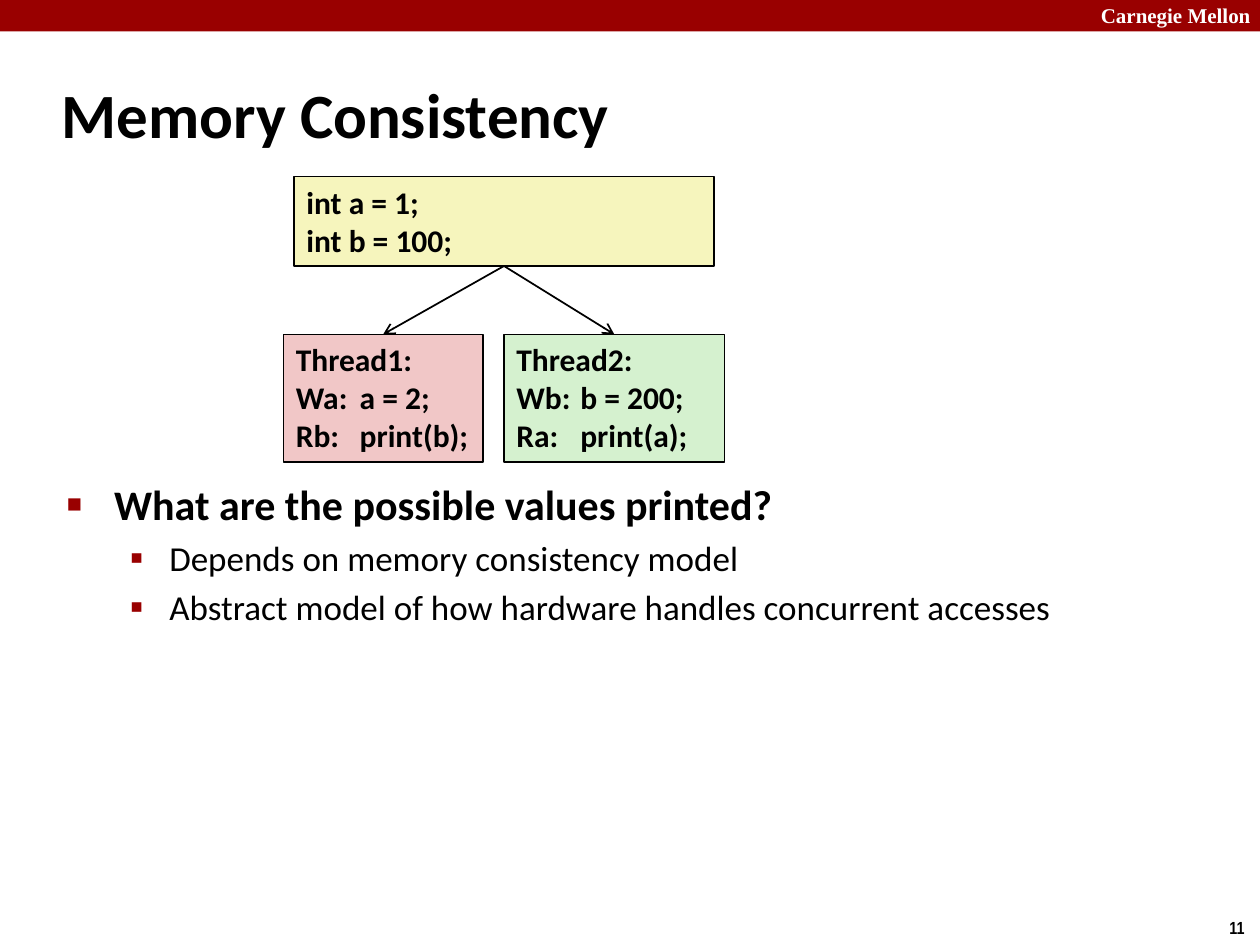
import pptx
import pptx.dml.color
import pptx.enum.shapes
import pptx.enum.text
import pptx.oxml
import pptx.oxml.ns
import pptx.util
from lxml import etree

Pt = pptx.util.Pt
ANCHOR = pptx.enum.text.MSO_ANCHOR
BOTTOM, TOP = 2, 0

COLORS = {
    "black": "000000",
    "white": "FFFFFF",
    "crimson": "990000",
    "shared": "F6F5BD",
    "thread1": "F1C7C7",
    "thread2": "D5F1CF",
}


def rgb(name):
    return pptx.dml.color.RGBColor.from_string(COLORS[name])


def add_xml(parent, tag, **attributes):
    return etree.SubElement(parent, pptx.oxml.ns.qn(tag), attributes)


class ConsistencySlide:
    font_name = "Calibri"
    code_size = 18
    code_tab = 36.5

    def __init__(self, presentation):
        self.slide = presentation.slides.add_slide(presentation.slide_layouts[1])
        self.shapes = self.slide.shapes

    def style(self, paragraph, size, bold=True, color="black", font_name=None):
        font = paragraph.font
        font.name = font_name or self.font_name
        font.size = Pt(size)
        font.bold = bold
        font.color.rgb = rgb(color)

    def place(self, shape, box):
        shape.left, shape.top, shape.width, shape.height = map(Pt, box)

    def rectangle(self, box, fill):
        shape = self.shapes.add_shape(
            pptx.enum.shapes.MSO_SHAPE.RECTANGLE, *map(Pt, box))
        shape.shadow.inherit = False
        shape.fill.solid()
        shape.fill.fore_color.rgb = rgb(fill)
        shape.line.fill.background()
        return shape

    def label(self, box, text, size, color, font_name, wrap=True):
        frame = self.shapes.add_textbox(*map(Pt, box)).text_frame
        frame.word_wrap = wrap
        frame.text = text
        self.style(frame.paragraphs[0], size, True, color, font_name)

    def title(self, box, text):
        title = self.shapes.title
        self.place(title, box)
        title.text_frame.text = text
        title.text_frame.vertical_anchor = ANCHOR.MIDDLE
        heading = title.text_frame.paragraphs[0]
        heading.alignment = pptx.enum.text.PP_ALIGN.LEFT
        self.style(heading, 36)

    def bullets(self, box, items):
        """Fill the body with (level, text) items."""
        levels = [
            dict(margin=27, hanging=27, char="■", percent=60, size=24, bold=True),
            dict(margin=58.5, hanging=22.5, char="▪", percent=110, size=20, bold=False),
        ]
        body = self.slide.placeholders[1]
        self.place(body, box)
        frame = body.text_frame
        frame.text = "\n".join(text for _, text in items)
        for number, (paragraph, (level, _)) in enumerate(zip(frame.paragraphs, items)):
            look = levels[level]
            paragraph.level = level
            properties = paragraph._p.get_or_add_pPr()
            properties.set("marL", str(Pt(look["margin"])))
            properties.set("indent", str(-Pt(look["hanging"])))
            bullet_color = add_xml(properties, "a:buClr")
            add_xml(bullet_color, "a:srgbClr", val=COLORS["crimson"])
            add_xml(properties, "a:buSzPct", val=str(look["percent"] * 1000))
            add_xml(properties, "a:buChar", char=look["char"])
            paragraph.space_before = Pt(0.2 * look["size"] if number else 0)
            self.style(paragraph, look["size"], look["bold"])

    def code_box(self, box, fill, lines):
        shape = self.rectangle(box, fill)
        shape.line.color.rgb = rgb("black")
        shape.line.width = Pt(0.75)
        frame = shape.text_frame
        frame.vertical_anchor = ANCHOR.TOP
        frame.text = "\n".join(lines)
        for paragraph in frame.paragraphs:
            paragraph.alignment = pptx.enum.text.PP_ALIGN.LEFT
            tabs = add_xml(paragraph._p.get_or_add_pPr(), "a:tabLst")
            add_xml(tabs, "a:tab", pos=str(Pt(self.code_tab)), algn="l")
            self.style(paragraph, self.code_size)
        return shape

    def arrow(self, source, target):
        """Point from the bottom of source to the top of target."""
        connector = self.shapes.add_connector(
            pptx.enum.shapes.MSO_CONNECTOR.STRAIGHT, 0, 0, 0, 0)
        connector.begin_connect(source, BOTTOM)
        connector.end_connect(target, TOP)
        connector.line.color.rgb = rgb("black")
        connector.line.width = Pt(1)
        add_xml(connector.line._get_or_add_ln(), "a:tailEnd", type="arrow")
        add_xml(connector._element.spPr, "a:effectLst")


def main():
    presentation = pptx.Presentation()
    presentation.slide_width, presentation.slide_height = Pt(720), Pt(540)
    page = ConsistencySlide(presentation)

    page.rectangle((0, 0, 720, 18), "crimson")
    page.label((622, -2, 103, 22), "Carnegie Mellon", 12, "white", "Times New Roman")
    page.label((695.5, 520.5, 24.5, 19.5), "11", 10, "black", "Arial Narrow", wrap=False)

    page.title((28, 34.5, 598, 60), "Memory Consistency")
    page.bullets((31, 270, 622, 229), [
        (0, "What are the possible values printed?"),
        (1, "Depends on memory consistency model"),
        (1, "Abstract model of how hardware handles concurrent accesses"),
    ])

    shared = page.code_box((168, 101, 240, 51), "shared", ["int a = 1;", "int b = 100;"])
    threads = [
        (162, 114, "thread1", ["Thread1:", "Wa:\ta = 2;", "Rb: \tprint(b);"]),
        (288, 126, "thread2", ["Thread2:", "Wb:\tb = 200;", "Ra:\tprint(a);"]),
    ]
    for left, width, fill, lines in threads:
        thread = page.code_box((left, 191, width, 73), fill, lines)
        page.arrow(shared, thread)

    presentation.save("out.pptx")


if __name__ == "__main__":
    main()
